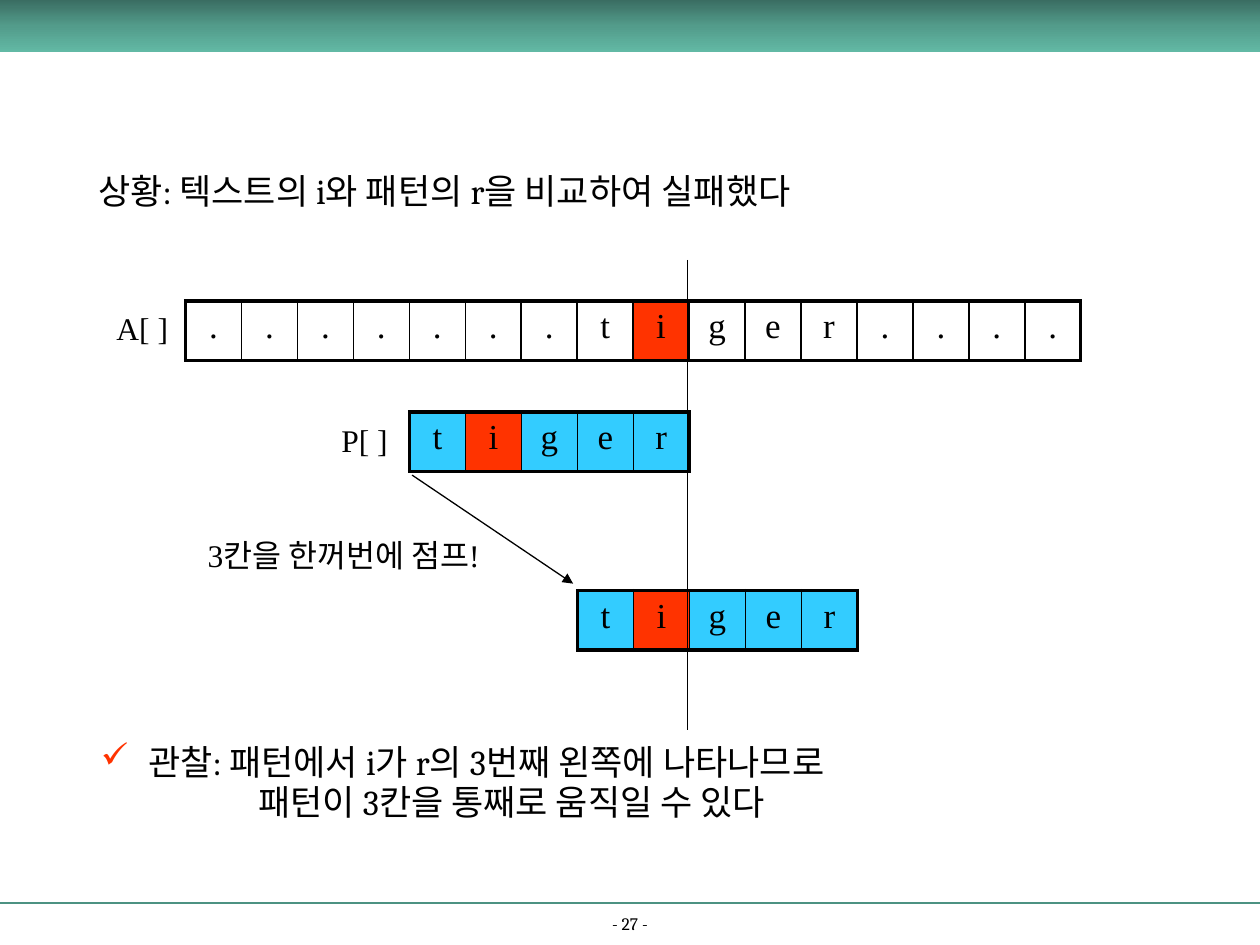
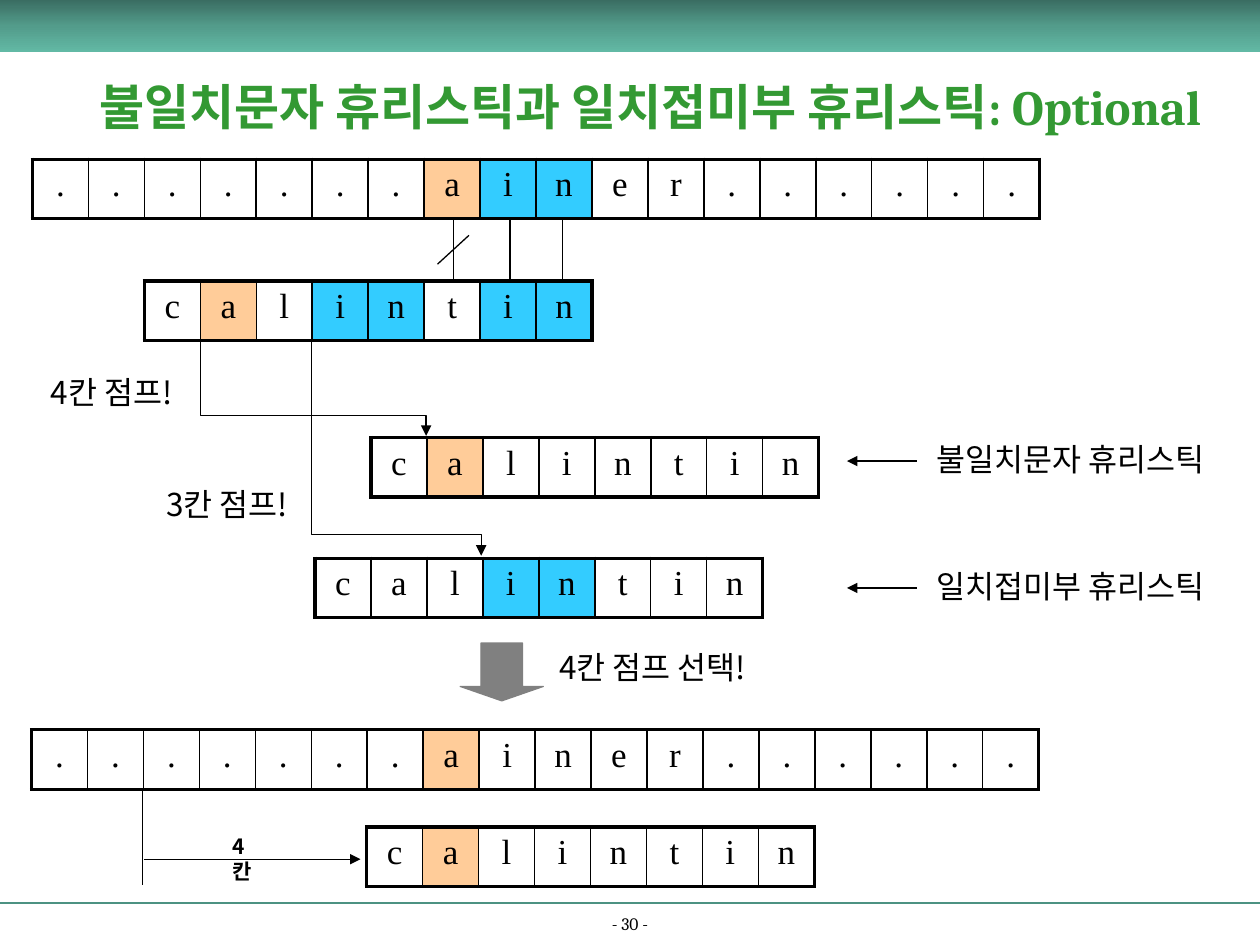
import copy

import pptx
import pptx.dml.color
import pptx.enum.shapes
import pptx.enum.text
import pptx.oxml.ns
import pptx.util

Pt = pptx.util.Pt
qn = pptx.oxml.ns.qn
ALIGN = pptx.enum.text.PP_ALIGN
ANCHOR = pptx.enum.text.MSO_ANCHOR
SHAPE = pptx.enum.shapes.MSO_SHAPE

# Shared look
SLIDE_WIDTH, SLIDE_HEIGHT = 720, 540
BLACK, GRAY, GREEN = "000000", "808080", "339933"
RED, BLUE, ORANGE = "FF3300", "33CCFF", "FFCC99"
RULE_COLOR = "4C9282"
BAND_STOPS = [(0, "3A6D62"), (0.5, "539C8B"), (1, "62B9A5")]
SERIF, TIMES, KOREAN = "Cambria", "Times New Roman", "Noto Sans CJK KR"
CELL_WIDTH, CELL_HEIGHT = 32, 34
THICK, THIN = 2.25, 1


def rgb(hex_color):
    return pptx.dml.color.RGBColor.from_string(hex_color)


def add_run(paragraph, text, size, font, color=BLACK, bold=False):
    run = paragraph.add_run()
    run.text = text
    run.font.size = Pt(size)
    run.font.name = font
    run.font.bold = bold
    run.font.color.rgb = rgb(color)
    properties = run.font._element
    properties.append(properties.makeelement(qn("a:ea"), {"typeface": KOREAN}))


def add_text_box(slide, left, top, width, height, wrap=False):
    box = slide.shapes.add_textbox(Pt(left), Pt(top), Pt(width), Pt(height))
    box.text_frame.word_wrap = wrap
    return box.text_frame


def add_label(slide, text, left, top, width, font=KOREAN, size=18, bold=False, wrap=False):
    frame = add_text_box(slide, left, top, width, size * 1.6, wrap)
    add_run(frame.paragraphs[0], text, size, font, bold=bold)


def add_body_paragraph(paragraph, text, margin=27, indent=-27, bullet=None):
    properties = paragraph._p.get_or_add_pPr()
    properties.set("marL", str(Pt(margin)))
    properties.set("indent", str(Pt(indent)))
    if bullet:
        bullet_color = properties.makeelement(qn("a:buClr"), {})
        bullet_color.append(bullet_color.makeelement(qn("a:srgbClr"), {"val": RED}))
        properties.append(bullet_color)
        properties.append(properties.makeelement(qn("a:buChar"), {"char": bullet}))
    paragraph.line_spacing = 0.8
    add_run(paragraph, text, 20, SERIF)


def style_line(shape, color=BLACK, width=0.75, arrow=False):
    shape.line.color.rgb = rgb(color)
    shape.line.width = Pt(width)
    if arrow:
        line = shape._element.spPr.find(qn("a:ln"))
        line.append(line.makeelement(qn("a:tailEnd"), {"type": "triangle"}))


def add_line(slide, start, end, **style):
    straight = pptx.enum.shapes.MSO_CONNECTOR.STRAIGHT
    line = slide.shapes.add_connector(straight, *map(Pt, start + end))
    style_line(line, **style)
    properties = line._element.spPr
    properties.append(properties.makeelement(qn("a:effectLst"), {}))


def add_jump_path(slide, left, top, turn, right, bottom):
    """Bent arrow: down, across at the turn height, then down."""
    builder = slide.shapes.build_freeform(Pt(left), Pt(top))
    corners = [(left, turn), (right, turn), (right, bottom)]
    builder.add_line_segments([(Pt(x), Pt(y)) for x, y in corners], close=False)
    path_shape = builder.convert_to_shape()
    path_shape.shadow.inherit = False
    path_shape.fill.background()
    style_line(path_shape, arrow=True)


def set_cell_borders(cell, left_width, right_width):
    properties = cell._tc.get_or_add_tcPr()
    widths = {"a:lnL": left_width, "a:lnR": right_width, "a:lnT": THICK, "a:lnB": THICK}
    for position, (tag, width) in enumerate(widths.items()):
        border = properties.makeelement(qn(tag), {"w": str(Pt(width))})
        fill = border.makeelement(qn("a:solidFill"), {})
        fill.append(fill.makeelement(qn("a:srgbClr"), {"val": BLACK}))
        border.append(fill)
        properties.insert(position, border)


def add_letter_row(slide, letters, left, top, highlights, base_fill=None):
    """One-row array: highlights maps a cell index to its fill."""
    count = len(letters)
    table = slide.shapes.add_table(
        1, count, Pt(left), Pt(top), Pt(CELL_WIDTH * count), Pt(CELL_HEIGHT)
    ).table
    table.first_row = table.horz_banding = False
    for index, letter in enumerate(letters):
        table.columns[index].width = Pt(CELL_WIDTH)
        cell = table.cell(0, index)
        fill = highlights.get(index, base_fill)
        if fill:
            cell.fill.solid()
            cell.fill.fore_color.rgb = rgb(fill)
        else:
            cell.fill.background()
        set_cell_borders(
            cell,
            THICK if index == 0 else THIN,
            THICK if index == count - 1 else THIN,
        )
        paragraph = cell.text_frame.paragraphs[0]
        paragraph.alignment = ALIGN.CENTER
        add_run(paragraph, letter, 20, TIMES)


def add_frame(slide, number):
    """Footer rule, page number and top band."""
    add_line(slide, (0, 516), (SLIDE_WIDTH, 516), color=RULE_COLOR, width=1.5)
    footer = add_text_box(slide, 0, 521, SLIDE_WIDTH, 16, wrap=True)
    footer.vertical_anchor = ANCHOR.BOTTOM
    paragraph = footer.paragraphs[0]
    paragraph.alignment = ALIGN.CENTER
    paragraph.line_spacing = 0.8
    add_run(paragraph, f"- {number} -", 10, SERIF)

    band = slide.shapes.add_shape(SHAPE.RECTANGLE, 0, 0, Pt(SLIDE_WIDTH), Pt(30))
    band.shadow.inherit = False
    band.line.fill.background()
    band.fill.gradient()
    band.fill.gradient_angle = 270
    stop_list = band._element.spPr.find(".//" + qn("a:gsLst"))
    stop_list.append(copy.deepcopy(stop_list[-1]))
    for stop, (position, color) in zip(band.fill.gradient_stops, BAND_STOPS):
        stop.position = position
        stop.color.rgb = rgb(color)


def set_title(slide, text):
    title = slide.shapes.title
    title.left, title.top, title.width, title.height = map(Pt, (23, 30, 697, 61))
    frame = title.text_frame
    frame.auto_size = pptx.enum.text.MSO_AUTO_SIZE.NONE
    frame.vertical_anchor = ANCHOR.MIDDLE
    frame.paragraphs[0].alignment = ALIGN.CENTER
    add_run(frame.paragraphs[0], text, 28, SERIF, GREEN, bold=True)


def build_jump_slide(presentation):
    slide = presentation.slides.add_slide(presentation.slide_layouts[6])
    add_frame(slide, 27)

    # Text array and the pattern before and after the jump
    pattern_left = 234
    add_letter_row(slide, ".......tiger....", 106, 172, {8: RED})
    for left, top in [(pattern_left, 235.5), (pattern_left + 3 * CELL_WIDTH, 337.5)]:
        add_letter_row(slide, "tiger", left, top, {1: RED}, BLUE)
    add_line(slide, (235.5, 271.5), (327.5, 333.5), arrow=True)
    add_label(slide, "3칸을 한꺼번에 점프!", 111.5, 303, 182, TIMES)
    add_line(slide, (393, 148.5), (393, 417))
    add_label(slide, "A[ ]", 59.5, 173, 44, TIMES)
    add_label(slide, "P[ ]", 188, 237, 47.5, TIMES)

    # Situation and observation
    situation = add_text_box(slide, 49, 98, 410, 46, wrap=True)
    add_body_paragraph(situation.paragraphs[0], "상황: 텍스트의 i와 패턴의 r을 비교하여 실패했다")
    observation = add_text_box(slide, 50.5, 424, 509, 50, wrap=True)
    add_body_paragraph(
        observation.paragraphs[0], "관찰: 패턴에서 i가 r의 3번째 왼쪽에 나타나므로", bullet="✓"
    )
    conclusion = observation.add_paragraph()
    add_body_paragraph(conclusion, "패턴이 3칸을 통째로 움직일 수 있다", margin=90, indent=0)
    conclusion.space_before = Pt(4)


def build_heuristics_slide(presentation):
    slide = presentation.slides.add_slide(presentation.slide_layouts[5])
    add_frame(slide, 30)
    set_title(slide, "불일치문자 휴리스틱과 일치접미부 휴리스틱: Optional")

    # Text arrays and pattern positions
    text, pattern = ".......ainer......", "calintin"
    mismatch, suffix = {1: ORANGE}, {3: BLUE, 4: BLUE}
    rows = [
        (text, 18.5, 91, {7: ORANGE, 8: BLUE, 9: BLUE}),
        (pattern, 82.5, 160.5, {**mismatch, **suffix, 6: BLUE, 7: BLUE}),
        (pattern, 212, 250, mismatch),
        (pattern, 180, 319, suffix),
        (text, 18, 417, {7: ORANGE}),
        (pattern, 209.5, 472.5, mismatch),
    ]
    for row in rows:
        add_letter_row(slide, *row)

    # Matching strokes, the first one crossed out
    for x in (259, 291.5, 321.5):
        add_line(slide, (x, 125), (x, 159.5))
    add_line(slide, (268, 134.5), (250, 151))

    # Jumps
    add_jump_path(slide, 114.5, 194.5, 237.5, 243.5, 249)
    add_jump_path(slide, 178, 194.5, 305.5, 275, 317.5)
    add_label(slide, "4칸 점프!", 22, 209.5, 91)
    add_label(slide, "3칸 점프!", 88, 273.5, 91)

    # Heuristic names with pointers
    for name, top in [("불일치문자 휴리스틱", 248), ("일치접미부 휴리스틱", 320.5)]:
        add_label(slide, name, 528, top, 182)
        add_line(slide, (524, top + 15.5), (484, top + 15.5), arrow=True)

    # Choice and its result
    choice_arrow = slide.shapes.add_shape(
        SHAPE.DOWN_ARROW, Pt(263), Pt(367.5), Pt(47.5), Pt(33)
    )
    choice_arrow.shadow.inherit = False
    choice_arrow.adjustments[0], choice_arrow.adjustments[1] = 0.5, 0.25
    choice_arrow.fill.solid()
    choice_arrow.fill.fore_color.rgb = rgb(GRAY)
    style_line(choice_arrow, GRAY)
    add_label(slide, "4칸 점프 선택!", 312.5, 366.5, 133)
    add_line(slide, (81.5, 451), (81.5, 506))
    add_line(slide, (82.5, 491), (206, 491), arrow=True)
    add_label(slide, "4칸", 125.5, 472.5, 32, size=12, bold=True, wrap=True)


def main():
    presentation = pptx.Presentation()
    presentation.slide_width = Pt(SLIDE_WIDTH)
    presentation.slide_height = Pt(SLIDE_HEIGHT)
    build_jump_slide(presentation)
    build_heuristics_slide(presentation)
    presentation.save("out.pptx")


if __name__ == "__main__":
    main()
